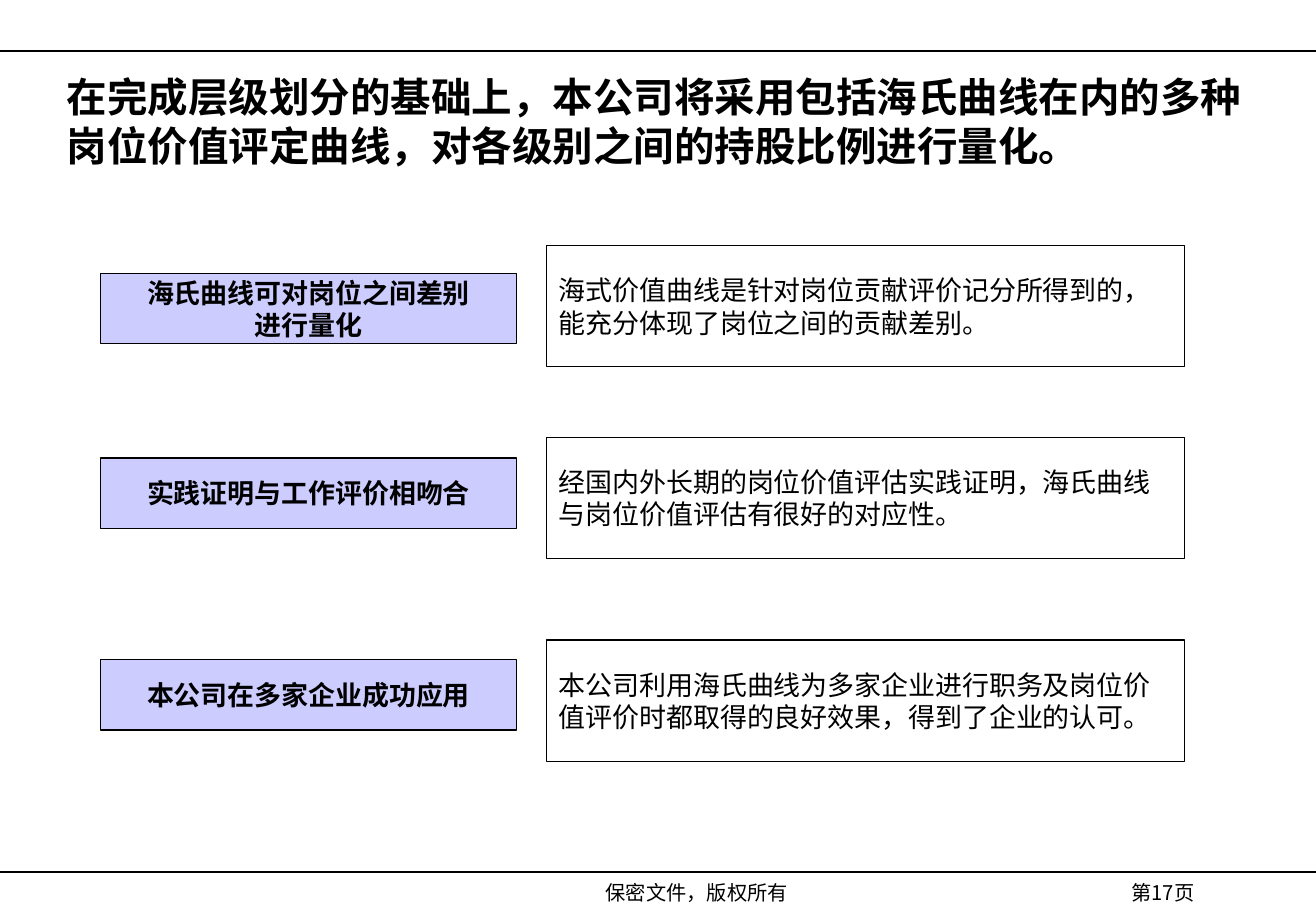
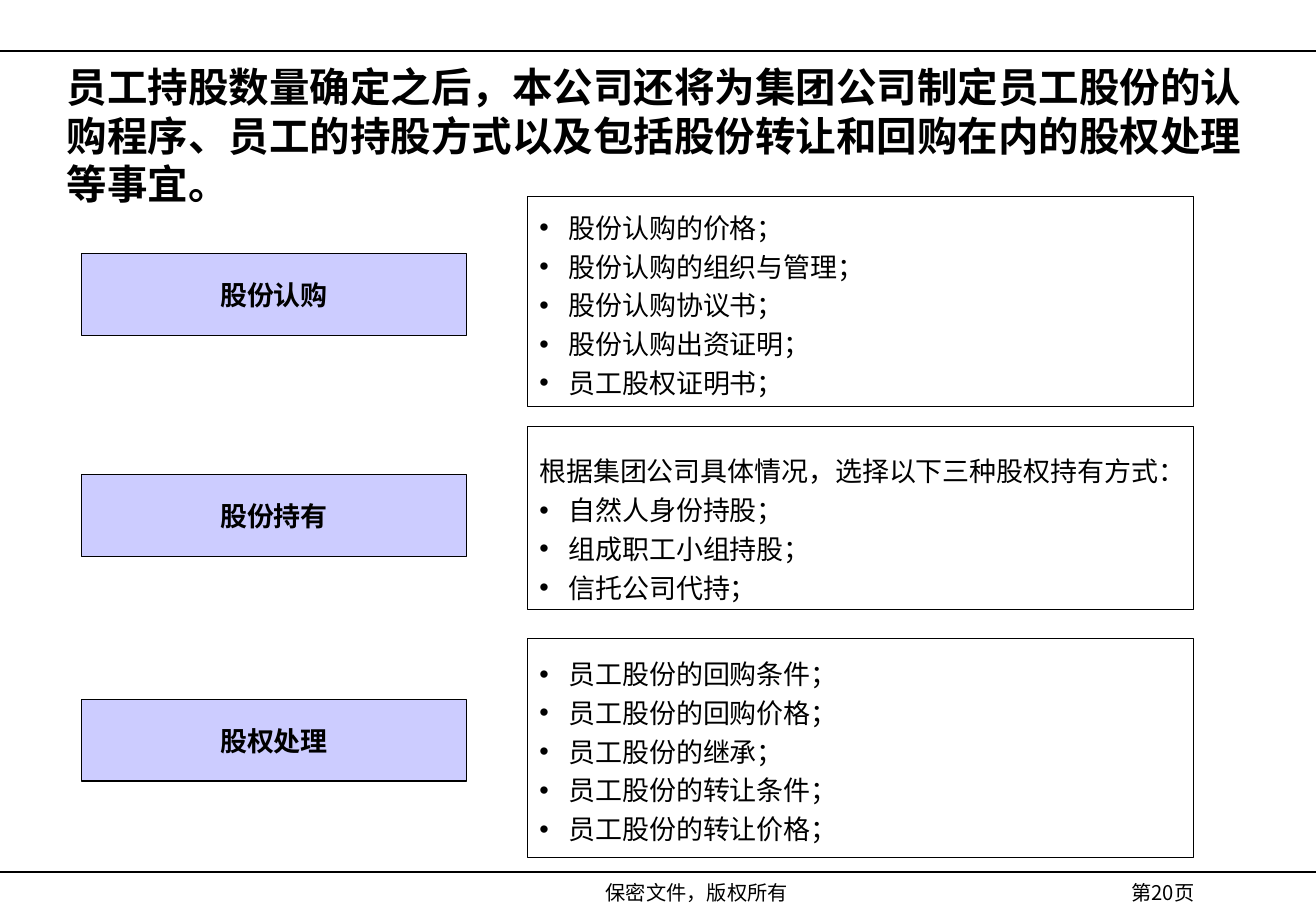
import pptx
import pptx.util
import pptx.dml.color
import pptx.enum.shapes
import pptx.enum.text
from pptx.oxml.ns import qn
from lxml import etree

Inches, Pt = pptx.util.Inches, pptx.util.Pt
ALIGN = pptx.enum.text.PP_ALIGN
ANCHOR = pptx.enum.text.MSO_ANCHOR

# Shared look
WIDTH, HEIGHT = 10.83, 7.5
BLACK, LAVENDER = "000000", "CCCCFF"
SANS, SERIF, CJK = "Arial", "Times New Roman", "Noto Sans CJK SC"
TITLE_SIZE, BODY_SIZE, FOOTER_SIZE = 24, 16, 12
LEADING = 1.2          # line pitch as a share of the font size
LIST_SPACING = 1.2
INTRO_SPACING = 1.7
BULLET_INDENT = 0.24
RULE_TOPS = (0.42, 7.18)
FOOTER_TOP, FOOTER_HEIGHT = 7.2, 0.3
CONFIDENTIAL = "保密文件，版权所有"

# Content: each row has a label, its top and font, then a detail box.
# The detail box has its top and height, an optional intro, and its lines.
SLIDES = [
    {
        "page": "第17页",
        "title": "在完成层级划分的基础上，本公司将采用包括海氏曲线在内的多种"
                 "岗位价值评定曲线，对各级别之间的持股比例进行量化。",
        "title_height": 0.95,
        "label_column": (0.83, 3.42), "label_height": 0.58,
        "detail_column": (4.5, 5.25), "detail_font": SANS, "bullets": False,
        "rows": [
            (["海氏曲线可对岗位之间差别", "进行量化"], 2.25, SANS, 2.02, 1, None,
             ["海式价值曲线是针对岗位贡献评价记分所得到的，能充分体现了岗位之间的贡献差别。"]),
            (["实践证明与工作评价相吻合"], 3.77, SANS, 3.6, 1, None,
             ["经国内外长期的岗位价值评估实践证明，海氏曲线与岗位价值评估有很好的对应性。"]),
            (["本公司在多家企业成功应用"], 5.43, SANS, 5.27, 1, None,
             ["本公司利用海氏曲线为多家企业进行职务及岗位价值评价时都取得的良好效果，"
              "得到了企业的认可。"]),
        ],
    },
    {
        "page": "第20页",
        "title": "员工持股数量确定之后，本公司还将为集团公司制定员工股份的认"
                 "购程序、员工的持股方式以及包括股份转让和回购在内的股权处理等事宜。",
        "title_height": 1.18,
        "label_column": (0.67, 3.17), "label_height": 0.67,
        "detail_column": (4.34, 5.48), "detail_font": CJK, "bullets": True,
        "rows": [
            (["股份认购"], 2.09, CJK, 1.62, 1.73, None,
             ["股份认购的价格；", "股份认购的组织与管理；", "股份认购协议书；",
              "股份认购出资证明；", "员工股权证明书；"]),
            (["股份持有"], 3.91, CJK, 3.51, 1.51,
             "根据集团公司具体情况，选择以下三种股权持有方式：",
             ["自然人身份持股；", "组成职工小组持股；", "信托公司代持；"]),
            (["股权处理"], 5.76, SERIF, 5.26, 1.8, None,
             ["员工股份的回购条件；", "员工股份的回购价格；", "员工股份的继承；",
              "员工股份的转让条件；", "员工股份的转让价格；"]),
        ],
    },
]


def color(value):
    return pptx.dml.color.RGBColor.from_string(value)


def add_bullet(paragraph):
    props = paragraph._p.get_or_add_pPr()
    props.set("marL", str(Inches(BULLET_INDENT)))
    props.set("indent", str(-Inches(BULLET_INDENT)))
    etree.SubElement(props, qn("a:buFont")).set("typeface", SANS)
    etree.SubElement(props, qn("a:buChar")).set("char", "•")


def write(holder, lines, size, font, bold=False, align=ALIGN.LEFT,
          anchor=ANCHOR.MIDDLE, wrap=True):
    """Fill a shape with (text, spacing, bulleted) lines in one style."""
    frame = holder.text_frame
    frame.text = "\n".join(text for text, _, _ in lines)
    frame.auto_size = pptx.enum.text.MSO_AUTO_SIZE.NONE
    frame.word_wrap = wrap
    frame.vertical_anchor = anchor
    for paragraph, (_, spacing, bulleted) in zip(frame.paragraphs, lines):
        if bulleted:
            add_bullet(paragraph)
        paragraph.alignment = align
        paragraph.line_spacing = Pt(round(size * LEADING * spacing, 1))
        paragraph.space_before = Pt(0)
        for run in paragraph.runs:
            run.font.size, run.font.bold, run.font.name = Pt(size), bold, font
            run.font.color.rgb = color(BLACK)
            etree.SubElement(run._r.get_or_add_rPr(), qn("a:ea")).set("typeface", CJK)


def add_box(slide, column, top, height, fill=None):
    left, width = column
    box = slide.shapes.add_shape(
        pptx.enum.shapes.MSO_SHAPE.RECTANGLE,
        Inches(left), Inches(top), Inches(width), Inches(height))
    box.shadow.inherit = False
    box.line.color.rgb = color(BLACK)
    box.line.width = Pt(0.75)
    if fill:
        box.fill.solid()
        box.fill.fore_color.rgb = color(fill)
    else:
        box.fill.background()
    return box


def add_frame(slide, page):
    """Rules and footer texts that every slide carries."""
    for top in RULE_TOPS:
        rule = slide.shapes.add_connector(
            pptx.enum.shapes.MSO_CONNECTOR.STRAIGHT,
            0, Inches(top), Inches(WIDTH), Inches(top))
        rule.line.color.rgb = color(BLACK)
        rule.line.width = Pt(0.75)
        etree.SubElement(rule._element.spPr, qn("a:effectLst"))
    for text, left, width, font in ((page, 8.76, 1.62, CJK),
                                    (CONFIDENTIAL, 2.8, 5.87, SERIF)):
        footer = slide.shapes.add_textbox(
            Inches(left), Inches(FOOTER_TOP), Inches(width), Inches(FOOTER_HEIGHT))
        write(footer, [(text, 1, False)], FOOTER_SIZE, font,
              align=ALIGN.CENTER, anchor=ANCHOR.TOP)


def add_title(slide, text, height):
    title = slide.shapes.title
    title.left, title.top = Inches(0.45), Inches(0.52)
    title.width, title.height = Inches(9.92), Inches(height)
    write(title, [(text, 1, False)], TITLE_SIZE, SERIF, bold=True)


def add_row(slide, content, row):
    label, label_top, label_font, detail_top, detail_height, intro, details = row
    label_box = add_box(slide, content["label_column"], label_top,
                        content["label_height"], LAVENDER)
    write(label_box, [(line, 1, False) for line in label], BODY_SIZE, label_font,
          bold=True, align=ALIGN.CENTER, wrap=False)

    bulleted = content["bullets"]
    spacing = LIST_SPACING if bulleted else 1
    lines = [(intro, INTRO_SPACING, False)] if intro else []
    lines += [(detail, spacing, bulleted) for detail in details]
    detail_box = add_box(slide, content["detail_column"], detail_top, detail_height)
    write(detail_box, lines, BODY_SIZE, content["detail_font"], wrap=not intro)


def main():
    deck = pptx.Presentation()
    deck.slide_width, deck.slide_height = Inches(WIDTH), Inches(HEIGHT)
    title_only = deck.slide_layouts[5]
    for content in SLIDES:
        slide = deck.slides.add_slide(title_only)
        add_frame(slide, content["page"])
        add_title(slide, content["title"], content["title_height"])
        for row in content["rows"]:
            add_row(slide, content, row)
    deck.save("out.pptx")


if __name__ == "__main__":
    main()
